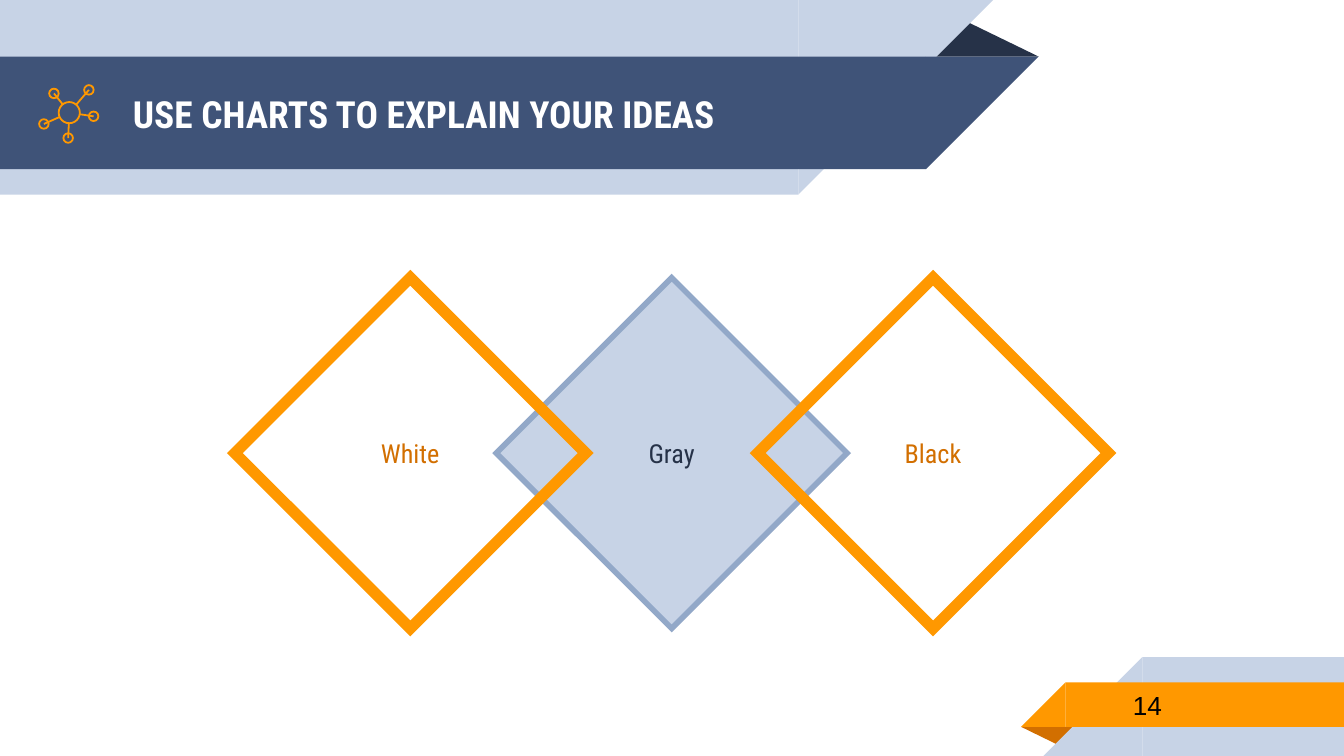
import math

import pptx
import pptx.dml.color
import pptx.enum.shapes
import pptx.enum.text
import pptx.oxml.ns
import pptx.util
from lxml import etree

Cm = pptx.util.Cm
Pt = pptx.util.Pt
SHAPES = pptx.enum.shapes.MSO_SHAPE
MIDDLE = pptx.enum.text.MSO_ANCHOR.MIDDLE
ALIGN = pptx.enum.text.PP_ALIGN
qn = pptx.oxml.ns.qn

PALE, NAVY, INK, STEEL = "C7D3E6", "3F5378", "263248", "92A8C8"
ORANGE, RUST, WHITE, BLACK = "FF9800", "D26F00", "FFFFFF", "000000"
FONT = "Roboto Condensed"


def paint(target, colour):
    """Give a fill a solid hex colour, or none."""
    if colour is None:
        target.background()
    else:
        target.solid()
        target.fore_color.rgb = pptx.dml.color.RGBColor.from_string(colour)


def apply(target, values):
    """Set each attribute named in a dict of format values."""
    for name, value in values.items():
        setattr(target, name, value)


def write(shape, text, align, colour, **font):
    """Put one formatted line of text in a shape, centred vertically."""
    frame = shape.text_frame
    apply(frame, dict(word_wrap=True, vertical_anchor=MIDDLE,
                      auto_size=pptx.enum.text.MSO_AUTO_SIZE.NONE))
    apply(frame, {f"margin_{side}": Cm(0.25)
                  for side in ("left", "top", "right", "bottom")})
    para = frame.paragraphs[0]
    para.alignment = align
    span = para.add_run()
    span.text = text
    apply(span.font, font)
    paint(span.font.fill, colour)


def add_shape(page, kind, box, fill=None, line=None, weight=1, flip=None):
    """Add a preset shape in a box of centimetres, optionally mirrored."""
    shape = page.shapes.add_shape(kind, *map(Cm, box))
    shape.shadow.inherit = False
    paint(shape.fill, fill)
    paint(shape.line.fill, line)
    if line:
        shape.line.width = Pt(weight)
        join = etree.SubElement(shape.line._get_or_add_ln(), qn("a:miter"))
        join.set("lim", "800000")
    if flip:
        shape._element.spPr.find(qn("a:xfrm")).set(flip, "1")
    return shape


def add_fold(page, box, colour, rotation=0):
    """Add the dark triangle that makes a ribbon look folded."""
    fold = add_shape(page, SHAPES.ISOSCELES_TRIANGLE, box, colour)
    fold.adjustments[0] = 0.324
    fold.rotation = rotation


def add_band(page, box, colour, slant_right):
    """Fill a box with a band whose right or left end is cut at 45 degrees."""
    left, top, width, height = box
    body_left, slant_left, flip = (
        (left, left + width - height, "flipV") if slant_right
        else (left + height, left, "flipH"))
    add_shape(page, SHAPES.RECTANGLE,
              (body_left, top, width - height, height), colour)
    add_shape(page, SHAPES.RIGHT_TRIANGLE,
              (slant_left, top, height, height), colour, flip=flip)


def add_header(page, box, text):
    """Draw the header ribbon and place the title on it."""
    left, top, width, height = box
    add_fold(page, (left + width - 2.16, top + 0.36, 2.16, 0.71), INK)
    add_band(page, (left, top, width - 0.86, height), PALE, True)
    add_band(page, (left, top + 1.07, width, 2.13), NAVY, True)
    title = page.shapes.title
    apply(title, dict(left=Cm(left + 2.26), top=Cm(top + 1.09),
                      width=Cm(14.6), height=Cm(2.13)))
    write(title, text, ALIGN.LEFT, WHITE, name=FONT, size=Pt(20), bold=True)
    # Bring the title in front of the ribbon.
    page.shapes._spTree.append(title._element)


def add_footer(page, box, number):
    """Draw the corner ribbon with the page number."""
    left, top, width, height = box
    add_fold(page, (left, top + 1.32, 1.09, 0.36), RUST, 180)
    add_band(page, (left + 0.42, top, width - 0.42, height), PALE, False)
    add_band(page, (left, top + 0.48, width, 0.84), ORANGE, False)
    label = page.shapes.add_textbox(
        Cm(left + 1.86), Cm(top + 0.46), Cm(4.14), Cm(0.89))
    write(label, number, ALIGN.LEFT, BLACK, name="Arial", size=Pt(14))


def add_diamonds(page, box):
    """Draw three overlapping diamonds, the middle one at the back."""
    left, top, width, size = box
    step = (width - size) / 2
    for index, text, colour, fill, line, weight in (
            (1, "Gray", INK, PALE, STEEL, 3),
            (0, "White", RUST, None, ORANGE, 6),
            (2, "Black", RUST, None, ORANGE, 6)):
        diamond = add_shape(page, SHAPES.DIAMOND,
                            (left + index * step, top, size, size),
                            fill, line, weight)
        write(diamond, text, ALIGN.CENTER, colour, name=FONT, size=Pt(14))


def add_network_icon(page, box):
    """Draw a hub circle joined to five small node circles."""
    left, top, width, height = box
    hub_x, hub_y, hub_radius = left + 0.57, top + 0.53, 0.2

    def add_ring(x, y, radius):
        """Outline a circle around a centre."""
        add_shape(page, SHAPES.OVAL,
                  (x - radius, y - radius, 2 * radius, 2 * radius),
                  line=ORANGE, weight=0.96)

    add_ring(hub_x, hub_y, hub_radius)
    for across, down in ((0.84, 0.09), (0.25, 0.15), (0.08, 0.67),
                         (0.49, 0.91), (0.92, 0.54)):
        x, y = left + across * width, top + down * height
        add_ring(x, y, 0.09)
        angle = math.atan2(y - hub_y, x - hub_x)
        spoke = page.shapes.add_connector(
            pptx.enum.shapes.MSO_CONNECTOR.STRAIGHT, Cm(x), Cm(y),
            Cm(hub_x + hub_radius * math.cos(angle)),
            Cm(hub_y + hub_radius * math.sin(angle)))
        paint(spoke.line.fill, ORANGE)
        spoke.line.width = Pt(0.96)
        etree.SubElement(spoke._element.spPr, qn("a:effectLst"))


def build_deck():
    """Build the one-slide deck and save it."""
    deck = pptx.Presentation()
    apply(deck, dict(slide_width=Cm(25.4), slide_height=Cm(14.29)))
    page = deck.slides.add_slide(deck.slide_layouts.get_by_name("Title Only"))
    paint(page.background.fill, WHITE)
    add_header(page, (0, 0, 19.63, 3.68), "USE CHARTS TO EXPLAIN YOUR IDEAS")
    add_footer(page, (19.3, 12.42, 6.1, 1.87), "14")
    add_diamonds(page, (4.44, 5.25, 16.51, 6.63))
    add_network_icon(page, (0.74, 1.6, 1.12, 1.11))
    deck.save("out.pptx")


build_deck()
